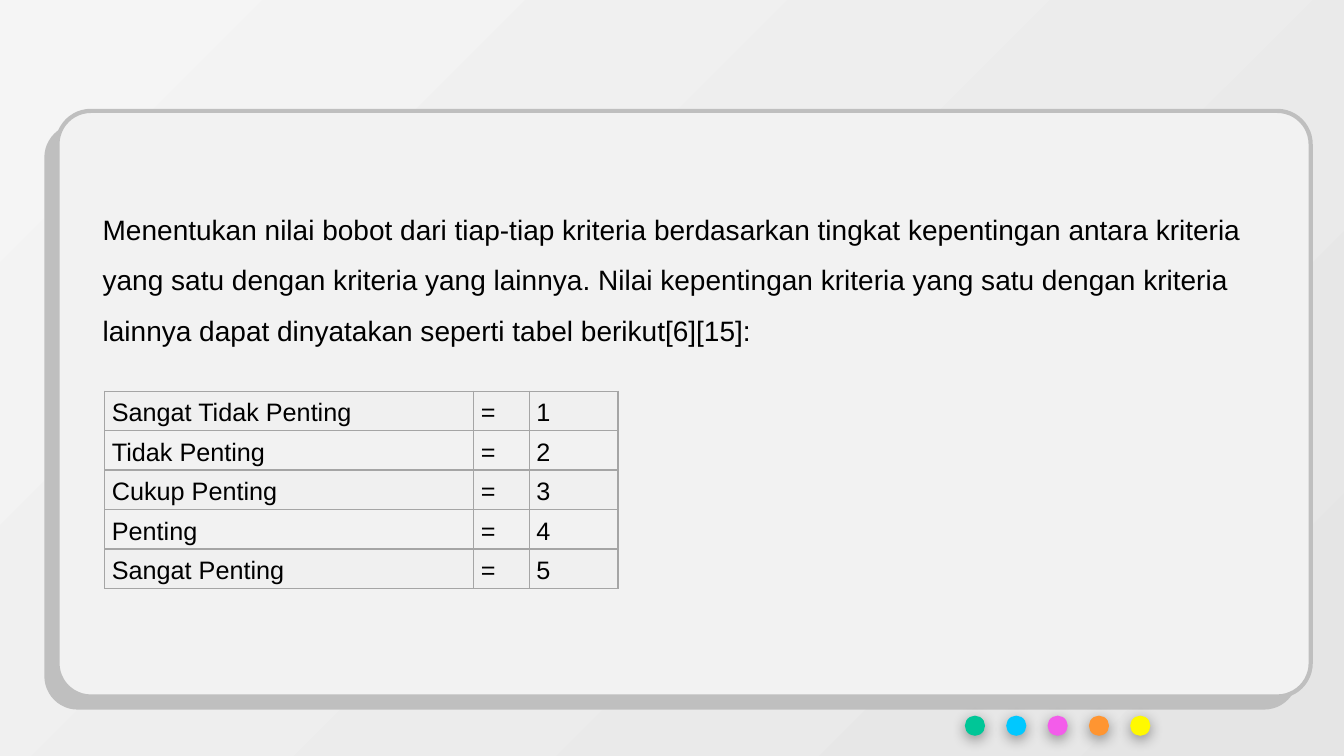
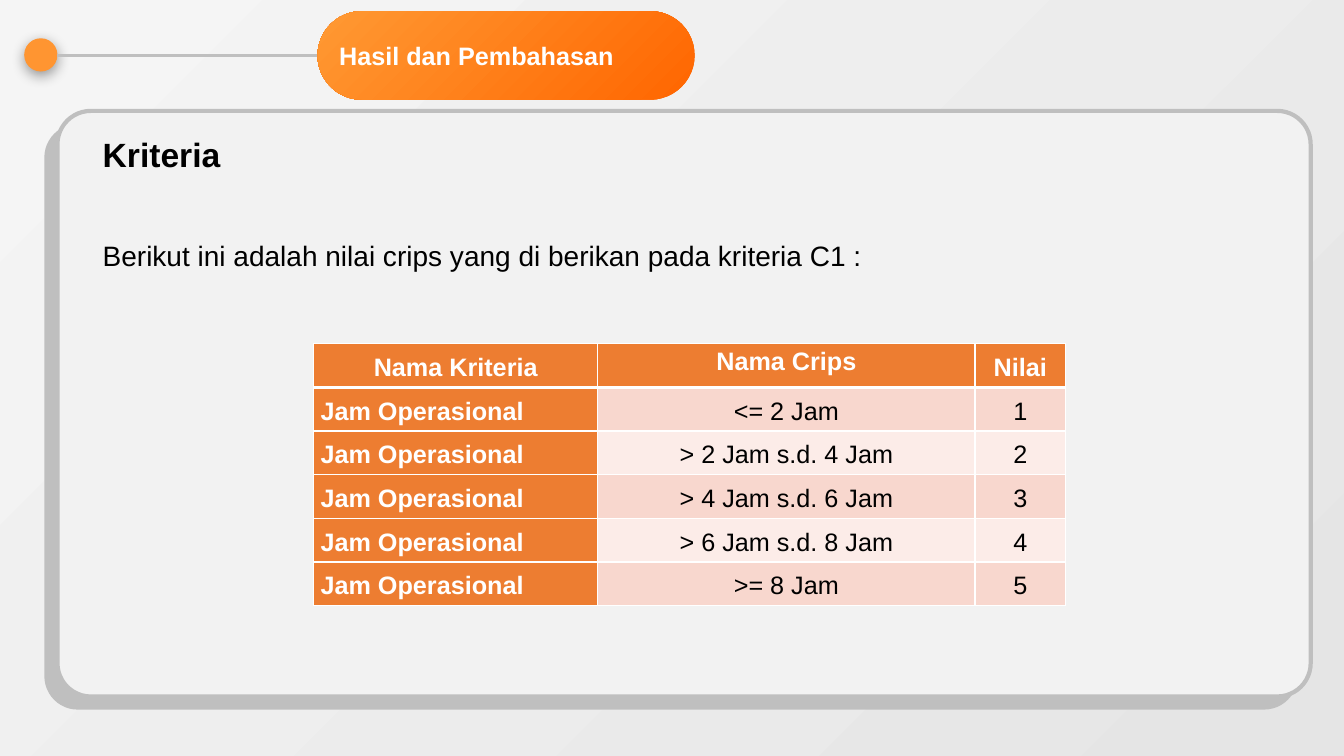
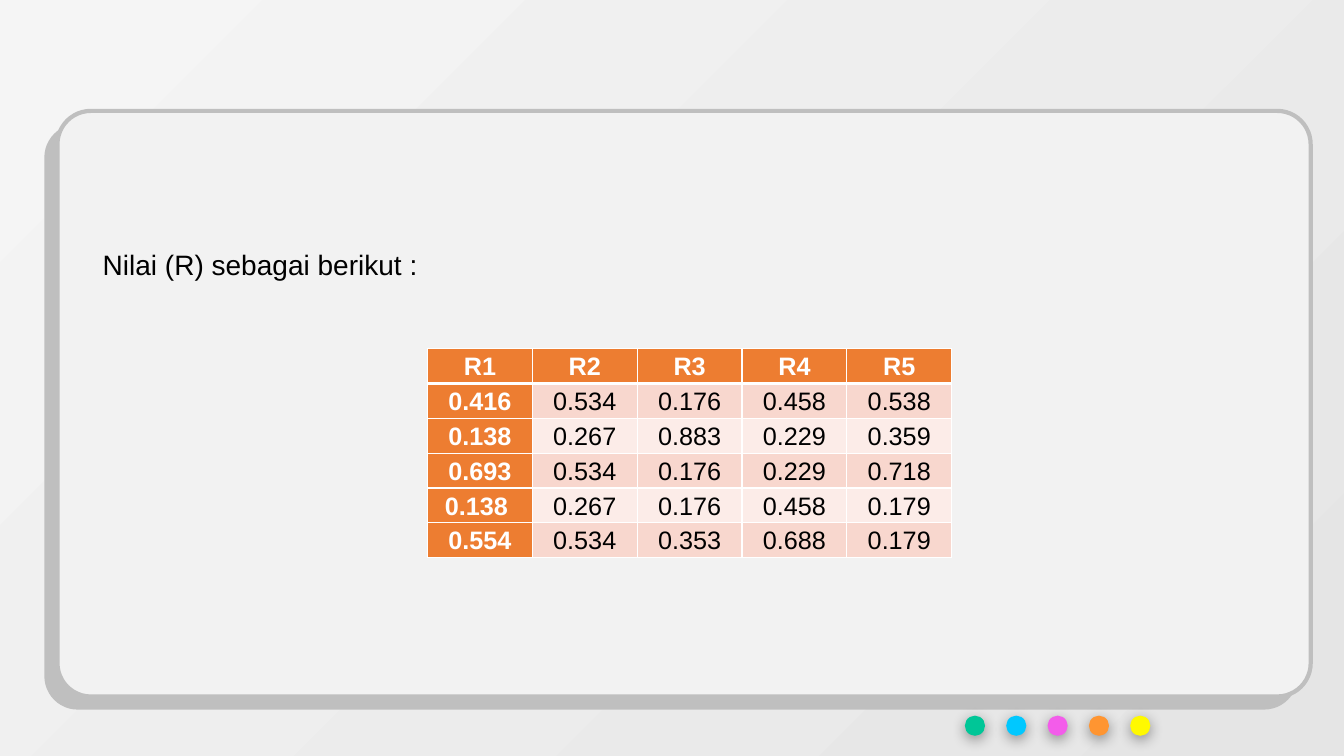
"""Build three slides on criteria weights and normalised values."""
from dataclasses import dataclass
from typing import Optional

from lxml import etree
from pptx import Presentation
from pptx.dml.color import RGBColor
from pptx.enum.shapes import MSO_CONNECTOR, MSO_SHAPE
from pptx.enum.text import MSO_ANCHOR, MSO_AUTO_SIZE, PP_ALIGN
from pptx.oxml.ns import qn
from pptx.util import Inches, Pt

RECT, ROUND, OVAL = MSO_SHAPE.RECTANGLE, MSO_SHAPE.ROUNDED_RECTANGLE, MSO_SHAPE.OVAL
LEFT, CENTER = PP_ALIGN.LEFT, PP_ALIGN.CENTER
TOP, MIDDLE = MSO_ANCHOR.TOP, MSO_ANCHOR.MIDDLE
GROW = MSO_AUTO_SIZE.SHAPE_TO_FIT_TEXT
STRAIGHT = MSO_CONNECTOR.STRAIGHT

FONT = "Arial"
BLACK = RGBColor(0x00, 0x00, 0x00)
WHITE = RGBColor(0xFF, 0xFF, 0xFF)
BACK_DARK = RGBColor(0xE5, 0xE5, 0xE5)
BACK_LIGHT = RGBColor(0xF5, 0xF5, 0xF5)
GREY = RGBColor(0xBF, 0xBF, 0xBF)
PANEL = RGBColor(0xF2, 0xF2, 0xF2)
RULE = RGBColor(0xA5, 0xA5, 0xA5)
BAND = RGBColor(0xF0, 0xF0, 0xF0)
ACCENT = RGBColor(0xED, 0x7D, 0x31)
ACCENT_BAND = RGBColor(0xF8, 0xD7, 0xCE)
ACCENT_PALE = RGBColor(0xFC, 0xEC, 0xE8)
PILL_DARK = RGBColor(0xFF, 0x66, 0x00)
PILL_LIGHT = RGBColor(0xFF, 0x99, 0x33)
ORANGE = RGBColor(0xFF, 0x95, 0x31)
DOTS = (
    RGBColor(0x00, 0xC6, 0x97),
    RGBColor(0x00, 0xC8, 0xFF),
    RGBColor(0xF3, 0x5C, 0xEA),
    ORANGE,
    RGBColor(0xFF, 0xF9, 0x00),
)


@dataclass(frozen=True)
class Box:
    """Place and size in inches."""
    left: float
    top: float
    width: float
    height: float

    def emu(self) -> tuple:
        """Return the four lengths for python-pptx."""
        return tuple(Inches(v) for v in (self.left, self.top, self.width, self.height))


@dataclass(frozen=True)
class TableData:
    """Content and look of one table."""
    box: Box
    cols: tuple
    rows: tuple
    accent: bool = True
    first_align: PP_ALIGN = CENTER
    anchor: MSO_ANCHOR = MIDDLE


WEIGHTS = TableData(
    Box(1.04, 3.88, 5.1, 1.96), (3.66, 0.55, 0.88),
    tuple((name, "=", str(i)) for i, name in enumerate(
        ("Sangat Tidak Penting", "Tidak Penting", "Cukup Penting",
         "Penting", "Sangat Penting"), 1)),
    accent=False, first_align=LEFT)
CRISPS = TableData(
    Box(3.11, 3.41, 7.46, 2.6), (2.82, 3.74, 0.9),
    (("Nama Kriteria", "Nama Crips", "Nilai"),) + tuple(
        ("Jam Operasional", crisp, str(i)) for i, crisp in enumerate(
            ("<= 2 Jam", "> 2 Jam s.d. 4 Jam", "> 4 Jam s.d. 6 Jam",
             "> 6 Jam s.d. 8 Jam", ">= 8 Jam"), 1)),
    first_align=LEFT)
RATINGS = TableData(
    Box(4.24, 3.46, 5.21, 2.06), (1.04,) * 5,
    (("R1", "R2", "R3", "R4", "R5"),
     ("0.416", "0.534", "0.176", "0.458", "0.538"),
     ("0.138", "0.267", "0.883", "0.229", "0.359"),
     ("0.693", "0.534", "0.176", "0.229", "0.718"),
     ("0.138 ", "0.267", "0.176", "0.458", "0.179"),
     ("0.554", "0.534", "0.353", "0.688", "0.179")),
    anchor=TOP)


def add_text(tf, text: str, *, size: float = 20, color: RGBColor = BLACK,
             bold: bool = False, align: PP_ALIGN = LEFT,
             spacing: Optional[float] = None, before: float = 0) -> None:
    """Add one formatted paragraph to a text frame."""
    p = tf.add_paragraph() if tf.text else tf.paragraphs[0]
    p.alignment, p.line_spacing, p.space_before = align, spacing, Pt(before)
    r = p.add_run()
    r.text = text
    r.font.name, r.font.size, r.font.bold = FONT, Pt(size), bold
    r.font.color.rgb = color


def add_box(s, box: Box):
    """Add a wrapping text box and return its text frame."""
    tf = s.shapes.add_textbox(*box.emu()).text_frame
    tf.word_wrap, tf.auto_size = True, GROW
    return tf


def add_shape(shapes, kind: MSO_SHAPE, box: Box, *fill: RGBColor,
              line: Optional[RGBColor] = None, adj: Optional[float] = None):
    """Add a shape with a solid fill, or a diagonal gradient for two colours."""
    sp = shapes.add_shape(kind, *box.emu())
    sp.shadow.inherit = False
    if len(fill) == 2:
        sp.fill.gradient()
        sp.fill.gradient_angle = 135
        for stop, color in zip(sp.fill.gradient_stops, fill):
            stop.color.rgb = color
    else:
        sp.fill.solid()
        sp.fill.fore_color.rgb = fill[0]
    if line is None:
        sp.line.fill.background()
    else:
        sp.line.color.rgb, sp.line.width = line, Pt(3)
    if adj is not None:
        sp.adjustments[0] = adj
    return sp


def add_dot(shapes, box: Box, color: RGBColor) -> None:
    """Add a round dot with a soft shadow below it."""
    sp = add_shape(shapes, OVAL, box, color)
    effects = sp.element.spPr.find(qn("a:effectLst"))
    shadow = etree.SubElement(effects, qn("a:outerShdw"), blurRad=str(Pt(10)),
                              dist=str(Pt(3)), dir="5400000", algn="t", rotWithShape="0")
    clr = etree.SubElement(shadow, qn("a:srgbClr"), val=str(BLACK))
    etree.SubElement(clr, qn("a:alpha"), val="40000")


def add_dots(s) -> None:
    """Add the grouped row of coloured dots at the foot."""
    group = s.shapes.add_group_shape()
    for i, color in enumerate(DOTS):
        add_dot(group.shapes, Box(9.57 + 0.41 * i, 7.1, 0.2, 0.2), color)


def add_frame(prs, layout: int):
    """Add a slide with the shared background and panel."""
    s = prs.slides.add_slide(prs.slide_layouts[layout])
    add_shape(s.shapes, RECT, Box(0, 0, 13.33, 7.5), BACK_DARK, BACK_LIGHT)
    add_shape(s.shapes, ROUND, Box(0.44, 1.23, 12.43, 5.81), GREY, adj=0.057)
    add_shape(s.shapes, ROUND, Box(0.57, 1.1, 12.43, 5.81), PANEL, line=GREY, adj=0.057)
    return s


def add_title(s, text: str) -> None:
    """Add the title pill with its dot and line."""
    add_dot(s.shapes, Box(0.24, 0.38, 0.33, 0.33), ORANGE)
    line = s.shapes.add_connector(STRAIGHT, Inches(0.57), Inches(0.55),
                                  Inches(3.15), Inches(0.55))
    line.line.color.rgb, line.line.width = GREY, Pt(2)
    etree.SubElement(line.element.spPr, qn("a:effectLst"))
    add_shape(s.shapes, ROUND, Box(3.15, 0.11, 3.74, 0.88), PILL_DARK, PILL_LIGHT, adj=0.5)
    title = s.shapes.title
    title.left, title.top, title.width, title.height = Box(3.15, 0.35, 3.15, 0.4).emu()
    title.element.getparent().append(title.element)
    tf = title.text_frame
    tf.word_wrap, tf.auto_size, tf.vertical_anchor = True, GROW, TOP
    add_text(tf, text, size=18, color=WHITE, bold=True, align=CENTER)


def set_borders(cell, color: RGBColor, top: float, bottom: float) -> None:
    """Draw the four borders of a cell, 1 pt wide at the sides."""
    tcPr = cell._tc.get_or_add_tcPr()
    for side, width in (("L", 1), ("R", 1), ("T", top), ("B", bottom)):
        ln = etree.SubElement(tcPr, qn(f"a:ln{side}"), w=str(Pt(width)))
        fill = etree.SubElement(ln, qn("a:solidFill"))
        etree.SubElement(fill, qn("a:srgbClr"), val=str(color))


def cell_fill(data: TableData, row: int, col: int) -> Optional[RGBColor]:
    """Return the fill of a cell by its band, or None."""
    if not data.accent:
        return None if row % 2 else BAND
    if row == 0 or col == 0:
        return ACCENT
    return ACCENT_BAND if row % 2 else ACCENT_PALE


def add_table(s, data: TableData):
    """Add a table with its own fills and borders."""
    table = s.shapes.add_table(len(data.rows), len(data.cols), *data.box.emu()).table
    table.first_row = table.horz_banding = False
    for column, width in zip(table.columns, data.cols):
        column.width = Inches(width)
    for i, texts in enumerate(data.rows):
        for j, text in enumerate(texts):
            cell = table.cell(i, j)
            fill = cell_fill(data, i, j)
            set_borders(cell, WHITE if data.accent else RULE,
                        top=3 if data.accent and i == 1 else 1,
                        bottom=3 if data.accent and i == 0 else 1)
            if fill is None:
                cell.fill.background()
            else:
                cell.fill.solid()
                cell.fill.fore_color.rgb = fill
            cell.margin_left = cell.margin_right = Inches(0.07)
            cell.margin_top = cell.margin_bottom = 0
            cell.vertical_anchor = data.anchor
            strong = fill == ACCENT
            centred = data.accent and (i == 0 or j > 0)
            add_text(cell.text_frame, text, size=18, bold=strong, spacing=1.15,
                     color=WHITE if strong else BLACK,
                     align=CENTER if centred else data.first_align)
    return table


def weights_slide(prs) -> None:
    """Add the slide on importance weights."""
    s = add_frame(prs, 6)
    add_text(add_box(s, Box(0.92, 1.89, 11.84, 1.62)),
             "Menentukan nilai bobot dari tiap-tiap kriteria berdasarkan tingkat "
             "kepentingan antara kriteria yang satu dengan kriteria yang lainnya. "
             "Nilai kepentingan kriteria yang satu dengan kriteria lainnya dapat "
             "dinyatakan seperti tabel berikut[6][15]:", spacing=1.5)
    add_dots(s)
    add_table(s, WEIGHTS)


def crisps_slide(prs) -> None:
    """Add the slide on the crisp values of C1."""
    s = add_frame(prs, 5)
    add_title(s, "Hasil dan Pembahasan")
    tf = add_box(s, Box(0.92, 1.28, 11.84, 1.51))
    add_text(tf, "Kriteria", size=24, bold=True)
    add_text(tf, "Berikut ini adalah nilai crips yang di berikan pada kriteria C1 :",
             before=46)
    add_table(s, CRISPS).cell(0, 1).vertical_anchor = TOP


def ratings_slide(prs) -> None:
    """Add the slide on the R values."""
    s = add_frame(prs, 6)
    add_text(add_box(s, Box(0.92, 2.24, 11.84, 0.66)), "Nilai (R) sebagai berikut :",
             spacing=1.5)
    add_dots(s)
    add_table(s, RATINGS)


def main() -> None:
    """Build and save the presentation."""
    prs = Presentation()
    prs.slide_width, prs.slide_height = Inches(13.33), Inches(7.5)
    weights_slide(prs)
    crisps_slide(prs)
    ratings_slide(prs)
    prs.save("out.pptx")


if __name__ == "__main__":
    main()
